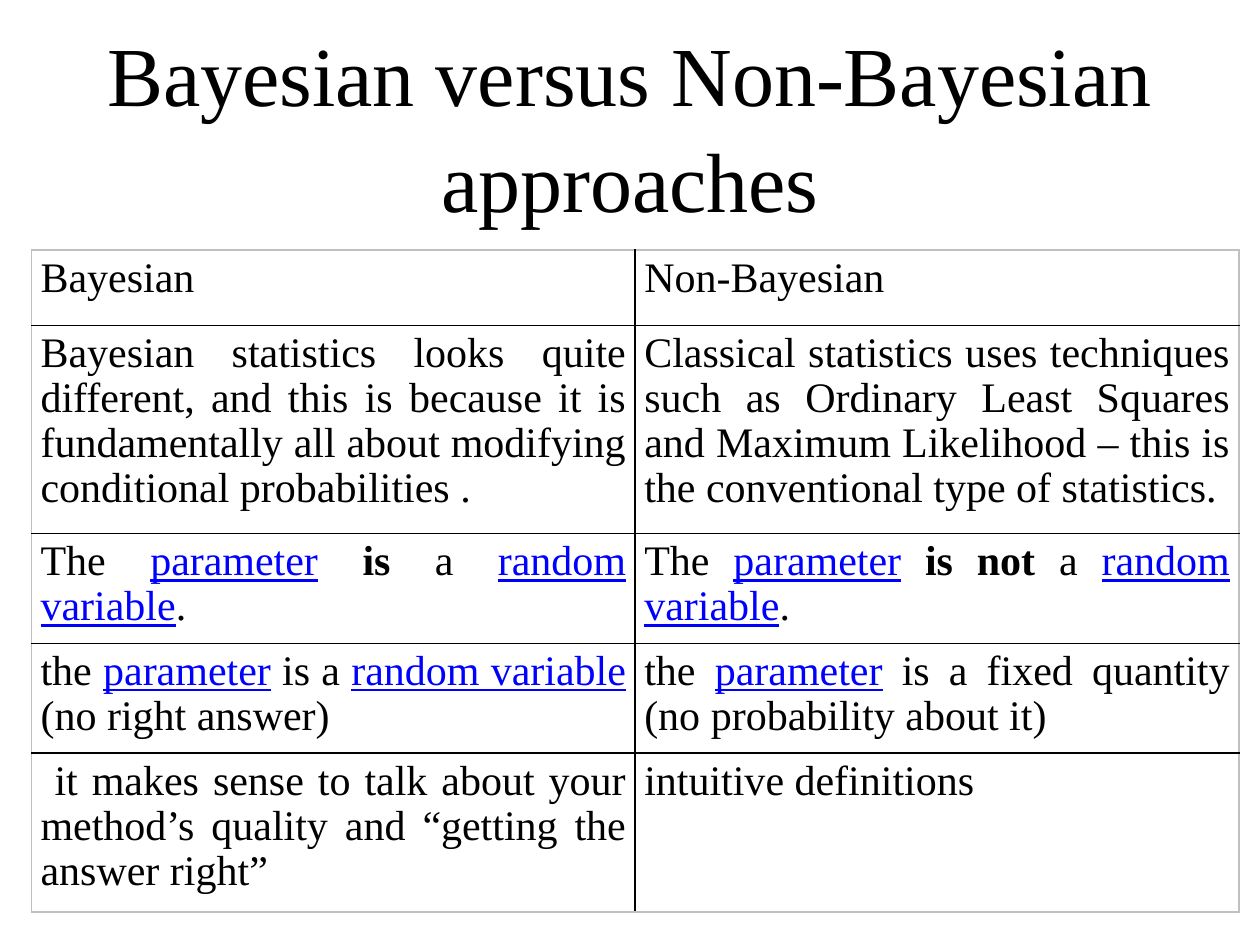
from lxml import etree
from pptx import Presentation
from pptx.dml.color import RGBColor
from pptx.enum.text import MSO_ANCHOR, PP_ALIGN
from pptx.oxml.ns import qn
from pptx.util import Pt

CENTER, JUSTIFY = PP_ALIGN.CENTER, PP_ALIGN.JUSTIFY
MIDDLE, TOP = MSO_ANCHOR.MIDDLE, MSO_ANCHOR.TOP
TITLE_ONLY = 5
FONT = "Times New Roman"
BLACK, BLUE, GREY = "000000", "0000FF", "C0C0C0"

# Runs are (text, format) pairs
LINK = {"color": BLUE, "underline": True}
BOLD = {"bold": True}
PARAMETER = ("parameter", LINK)
RANDOM_VARIABLE = ("random variable", LINK)

COLUMN_WIDTH = 345
ROW_HEIGHTS = [43.2, 118.8, 62.8, 62.8, 90.7]
ROWS = [
    ([("Bayesian", {})], [("Non-Bayesian", {})]),
    ([("Bayesian statistics looks quite different, and this is because it is "
       "fundamentally all about modifying conditional probabilities .", {})],
     [("Classical statistics uses techniques such as Ordinary Least Squares "
       "and Maximum Likelihood – this is the conventional type of statistics.", {})]),
    ([("The ", {}), PARAMETER, (" ", {}), ("is ", BOLD), ("a ", {}),
      RANDOM_VARIABLE, (".", {})],
     [("The ", {}), PARAMETER, (" is not ", BOLD), ("a ", {}),
      RANDOM_VARIABLE, (".", {})]),
    ([("the ", {}), PARAMETER, (" is a ", {}), RANDOM_VARIABLE,
      (" (no right answer)", {})],
     [("the ", {}), PARAMETER,
      (" is a fixed quantity (no probability about it)", {})]),
    ([(" it makes sense to talk about your method’s quality and "
       "“getting the answer right”", {})],
     [("intuitive definitions", {})]),
]


def rgb(value):
    return RGBColor.from_string(value)


def add_run(paragraph, text, size=24, color=BLACK, bold=False, underline=False):
    run = paragraph.add_run()
    run.text = text
    font = run.font
    font.name, font.size = FONT, Pt(size)
    font.bold, font.underline = bold, underline
    font.color.rgb = rgb(color)


def add_title(slide, text):
    title = slide.shapes.title
    title.left, title.top, title.width, title.height = Pt(36), Pt(21.6), Pt(648), Pt(90)
    frame = title.text_frame
    frame.word_wrap = True
    frame.vertical_anchor = MIDDLE
    frame.margin_top = Pt(11.6)
    paragraph = frame.paragraphs[0]
    paragraph.alignment = CENTER
    paragraph.line_spacing = 1.05
    add_run(paragraph, text, size=48)


def set_border(cell, side, color, width=1):
    properties = cell._tc.get_or_add_tcPr()
    line = etree.SubElement(properties, qn(f"a:ln{side}"), w=str(Pt(width)))
    fill = etree.SubElement(line, qn("a:solidFill"))
    etree.SubElement(fill, qn("a:srgbClr"), val=color)


def fill_cell(cell, runs, outer_sides):
    cell.margin_left = cell.margin_right = Pt(5.2)
    cell.margin_top = cell.margin_bottom = Pt(3.6)
    cell.vertical_anchor = TOP
    # Borders have to come before the fill
    for side in "LRTB":
        set_border(cell, side, GREY if side in outer_sides else BLACK)
    cell.fill.background()
    paragraph = cell.text_frame.paragraphs[0]
    paragraph.alignment = JUSTIFY
    paragraph.line_spacing = 0.97
    for text, style in runs:
        add_run(paragraph, text, **style)


def add_comparison_table(slide):
    frame = slide.shapes.add_table(len(ROWS), 2, Pt(18), Pt(142.8),
                                   Pt(2 * COLUMN_WIDTH), Pt(sum(ROW_HEIGHTS)))
    table = frame.table
    table.first_row = table.horz_banding = False
    for column in table.columns:
        column.width = Pt(COLUMN_WIDTH)
    for row_index, (height, row) in enumerate(zip(ROW_HEIGHTS, ROWS)):
        table.rows[row_index].height = Pt(height)
        vertical = {0: "T", len(ROWS) - 1: "B"}.get(row_index, "")
        for column_index, runs in enumerate(row):
            fill_cell(table.cell(row_index, column_index), runs,
                      "LR"[column_index] + vertical)


def main():
    presentation = Presentation()
    presentation.slide_width, presentation.slide_height = Pt(720), Pt(540)
    slide = presentation.slides.add_slide(presentation.slide_layouts[TITLE_ONLY])
    add_title(slide, "Bayesian versus Non-Bayesian approaches")
    add_comparison_table(slide)
    presentation.save("out.pptx")


if __name__ == "__main__":
    main()
